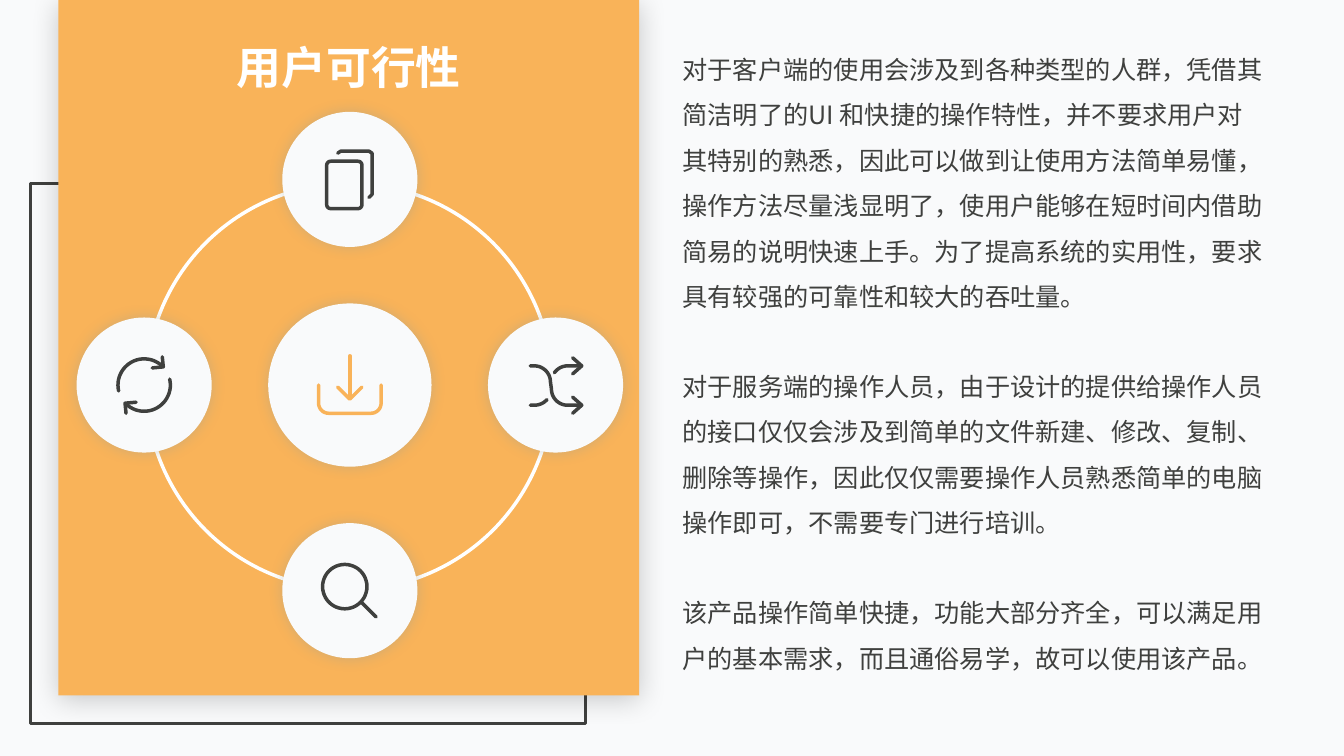
import math

from lxml import etree
from pptx import Presentation
from pptx.dml.color import RGBColor
from pptx.enum.shapes import MSO_SHAPE
from pptx.enum.text import PP_ALIGN
from pptx.oxml.ns import qn
from pptx.util import Pt

PX = 9144  # EMU in one px, 100 px to the inch
RECTANGLE, OVAL = MSO_SHAPE.RECTANGLE, MSO_SHAPE.OVAL
LEFT, CENTER = PP_ALIGN.LEFT, PP_ALIGN.CENTER

PAPER = RGBColor(0xF9, 0xFA, 0xFB)
INK = RGBColor(0x3F, 0x40, 0x3E)
ORANGE = RGBColor(0xF9, 0xB3, 0x59)
WHITE = RGBColor(0xFF, 0xFF, 0xFF)
BLACK = RGBColor(0x00, 0x00, 0x00)
SAGE = RGBColor(0x96, 0x9F, 0x98)
FONT = "Noto Sans CJK SC"

TITLE = "用户可行性"
PARAGRAPHS = [
    "对于客户端的使用会涉及到各种类型的人群，凭借其简洁明了的UI 和快捷的操作特性，"
    "并不要求用户对其特别的熟悉，因此可以做到让使用方法简单易懂，操作方法尽量浅显明了，"
    "使用户能够在短时间内借助简易的说明快速上手。为了提高系统的实用性，"
    "要求具有较强的可靠性和较大的吞吐量。",
    "对于服务端的操作人员，由于设计的提供给操作人员的接口仅仅会涉及到简单的文件新建、"
    "修改、复制、删除等操作，因此仅仅需要操作人员熟悉简单的电脑操作即可，"
    "不需要专门进行培训。",
    "该产品操作简单快捷，功能大部分齐全，可以满足用户的基本需求，而且通俗易学，"
    "故可以使用该产品。",
]


def arc(x, y, radius, start, end, steps=24):
    """Points along a circle, angles in degrees clockwise from the right."""
    angles = [math.radians(start + (end - start) * i / steps) for i in range(steps + 1)]
    return [(x + radius * math.cos(a), y + radius * math.sin(a)) for a in angles]


def rounded_box(left, top, right, bottom, radius):
    corners = [(left, top, 1, 1), (right, top, -1, 1),
               (right, bottom, -1, -1), (left, bottom, 1, -1)]
    points = []
    for i, (x, y, dx, dy) in enumerate(corners):
        points += arc(x + dx * radius, y + dy * radius, radius,
                      180 + 90 * i, 270 + 90 * i, 6)
    return points + points[:1]


# Each icon is a list of strokes around the middle of its disc.
DOWNLOAD = [
    [(-31, 0)] + arc(-21, 18, 10, 180, 90, 8) + arc(21, 18, 10, 90, 0, 8) + [(31, 0)],
    [(0, -29), (0, 13)],
    [(-12, 2), (0, 14), (12, 2)],
]
COPY = [
    rounded_box(-23, -18, 12, 29, 4),
    [(-12, -26), (-9, -28), (19, -28), (22, -26), (22, 15), (19, 18)],
]
SEARCH = [arc(-5, -4, 22, 0, 360, 48), [(12, 12), (26, 26)]]
HALF_TURN = [arc(0, 0, 26, 167, 315), [(18, -28), (19, -18), (8, -17)]]
REFRESH = HALF_TURN + [[(-x, -y) for x, y in stroke] for stroke in HALF_TURN]
SHUFFLE = [
    [(-25, -19)] + arc(-21, -3, 16, 270, 360) + arc(12, 4, 16, 180, 90) + [(25, 20)],
    [(-25, 20)] + arc(-21, 3, 17, 90, 42),
    arc(12, -3, 16, 215, 270) + [(25, -19)],
    [(17, 12), (26, 20), (17, 28)],
    [(17, -27), (26, -19), (17, -11)],
]


def add_shadow(shape, color, opacity, blur, distance, angle):
    effects = shape._element.spPr.find(qn("a:effectLst"))
    shadow = etree.SubElement(
        effects, qn("a:outerShdw"), blurRad=str(Pt(blur)), dist=str(Pt(distance)),
        dir=str(angle * 60000), algn="ctr", rotWithShape="0")
    tint = etree.SubElement(shadow, qn("a:srgbClr"), val=str(color))
    etree.SubElement(tint, qn("a:alpha"), val=str(opacity * 1000))


def paint(shape, fill=None, line=None, width=0):
    shape.shadow.inherit = False
    if fill is None:
        shape.fill.background()
    else:
        shape.fill.solid()
        shape.fill.fore_color.rgb = fill
    if line is None:
        shape.line.fill.background()
    else:
        shape.line.color.rgb = line
        shape.line.width = Pt(width)


def add_figure(page, kind, box, **look):
    shape = page.shapes.add_shape(kind, *(length * PX for length in box))
    paint(shape, **look)
    return shape


def add_icon(page, x, y, strokes, color):
    for stroke in strokes:
        points = [(round((x + dx) * PX), round((y + dy) * PX)) for dx, dy in stroke]
        closed = math.dist(stroke[0], stroke[-1]) < 0.01
        builder = page.shapes.build_freeform(*points[0])
        builder.add_line_segments(points[1:], close=closed)
        shape = builder.convert_to_shape()
        paint(shape, line=color, width=2.5)
        outline = shape._element.spPr.find(qn("a:ln"))
        outline.set("cap", "rnd")
        etree.SubElement(outline, qn("a:round"))


def add_disc(page, x, y, radius, icon, color):
    disc = add_figure(page, OVAL, (x - radius, y - radius, 2 * radius, 2 * radius),
                      fill=PAPER)
    add_shadow(disc, SAGE, 40, 10, 0, 0)
    add_icon(page, x, y, icon, color)


def add_wheel(page, box):
    """A ring with one disc in the middle and four around it."""
    left, top, width, height = box
    x, y, orbit = left + width // 2, top + height // 2, width // 2
    add_disc(page, x, y, 81, DOWNLOAD, ORANGE)
    add_figure(page, OVAL, (x - 202, y - 200, 403, 403), line=WHITE, width=2.5)
    for dx, dy, icon in [(0, -1, COPY), (1, 0, SHUFFLE), (0, 1, SEARCH), (-1, 0, REFRESH)]:
        add_disc(page, x + dx * orbit, y + dy * orbit, 67, icon, INK)


def add_text(page, box, texts, size, color, align=LEFT, bold=False,
             wrap=True, spacing=1.0, gap=0):
    frame = page.shapes.add_textbox(*(length * PX for length in box)).text_frame
    frame.word_wrap = wrap
    frame.margin_left = frame.margin_right = 5 * PX
    frame.margin_top = frame.margin_bottom = 5 * PX
    for i, text in enumerate(texts):
        para = frame.add_paragraph() if i else frame.paragraphs[0]
        para.text = text
        para.alignment = align
        para.line_spacing = spacing
        para.space_before = Pt(gap if i else 0)
        font = para.font
        font.name, font.size, font.bold = FONT, Pt(size), bold
        font.color.rgb = color
        defaults = para._p.pPr.find(qn("a:defRPr"))
        etree.SubElement(defaults, qn("a:ea"), typeface=FONT)


def add_card(page, box):
    """The orange panel with its offset frame, title and wheel."""
    left, top, width, height = box
    add_figure(page, RECTANGLE, (left - 28, top + 182, 551, 536), line=INK, width=2)
    panel = add_figure(page, RECTANGLE, box, fill=ORANGE)
    add_shadow(panel, BLACK, 20, 20, 3, 90)
    add_wheel(page, (left + 85, top + 178, 408, 408))
    add_text(page, (left + 171, top + 34, 234, 64), [TITLE], 32, WHITE,
             align=CENTER, bold=True, wrap=False)


def main():
    deck = Presentation()
    deck.slide_width, deck.slide_height = 1333 * PX, 750 * PX
    page = deck.slides.add_slide(deck.slide_layouts[6])
    page.background.fill.solid()
    page.background.fill.fore_color.rgb = PAPER
    add_card(page, (58, 0, 576, 690))
    add_text(page, (672, 34, 586, 641), PARAGRAPHS, 18, INK, spacing=1.5, gap=32)
    deck.save("out.pptx")


if __name__ == "__main__":
    main()
